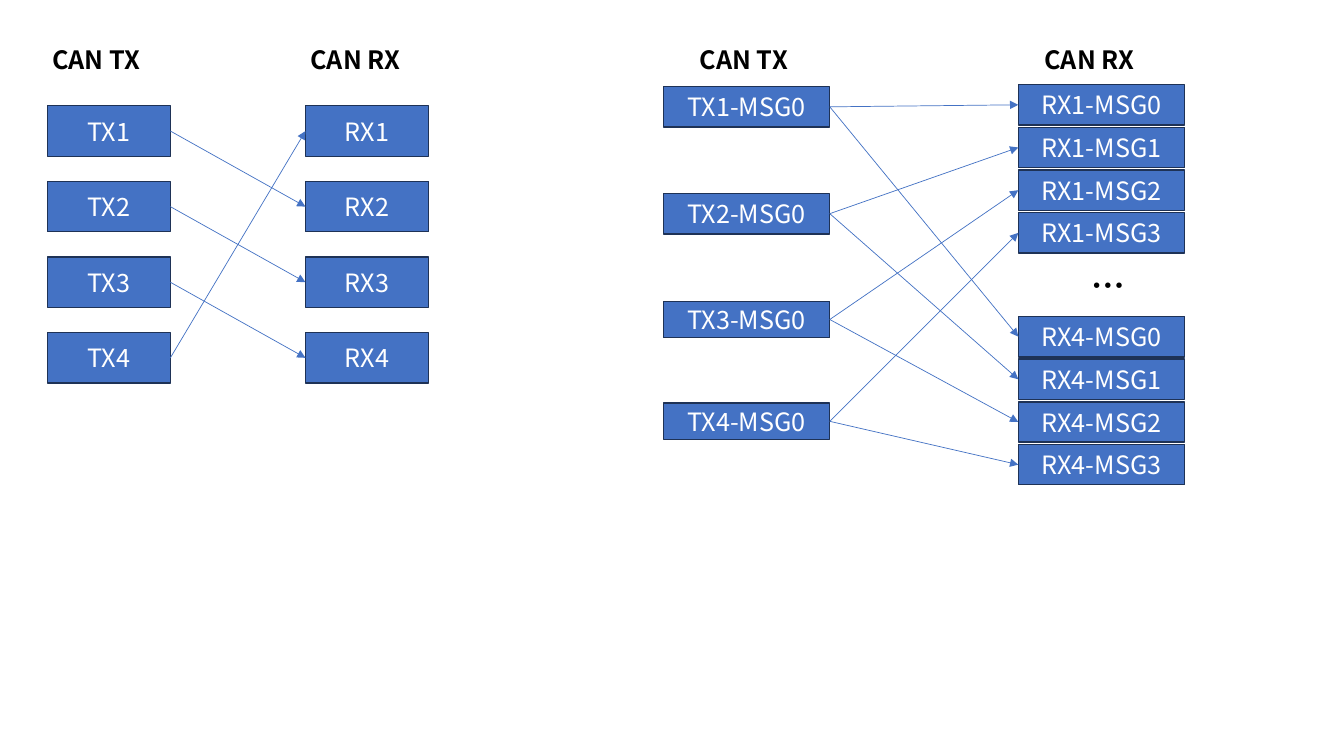
from lxml import etree
from pptx import Presentation
from pptx.dml.color import RGBColor
from pptx.enum.shapes import MSO_CONNECTOR, MSO_SHAPE
from pptx.enum.text import MSO_ANCHOR, MSO_AUTO_SIZE, PP_ALIGN
from pptx.oxml.ns import qn
from pptx.util import Inches, Pt

PROCESS = MSO_SHAPE.FLOWCHART_PROCESS
STRAIGHT = MSO_CONNECTOR.STRAIGHT
MIDDLE = MSO_ANCHOR.MIDDLE
GROW = MSO_AUTO_SIZE.SHAPE_TO_FIT_TEXT
CENTER, LEFT = PP_ALIGN.CENTER, PP_ALIGN.LEFT
LEFT_SIDE, RIGHT_SIDE = 1, 3

COLORS = {"node": "4472C4", "border": "1E3256", "label": "FFFFFF", "heading": "000000"}
FONT = "Noto Sans CJK SC"


class Diagram:
    """Draws one group of message nodes and arrows on a slide."""

    def __init__(self, page):
        self.shapes = page.shapes.add_group_shape().shapes

    def color(self, name):
        return RGBColor.from_string(COLORS[name])

    def fill_text(self, frame, text, align, color, size=18, bold=False):
        para = frame.paragraphs[0]
        para.alignment = align
        span = para.add_run()
        span.text = text
        font_format = {"name": FONT, "size": Pt(size), "bold": bold}
        for key, value in font_format.items():
            setattr(span.font, key, value)
        span.font.color.rgb = self.color(color)
        east_asian = etree.SubElement(span.font._element, qn("a:ea"))
        east_asian.set("typeface", FONT)

    def text(self, text, left, top, width, height, size=18, wrap=True):
        box = self.shapes.add_textbox(*map(Inches, (left, top, width, height)))
        box.text_frame.word_wrap = wrap
        box.text_frame.auto_size = GROW
        self.fill_text(box.text_frame, text, LEFT, "heading", size, bold=True)

    def heading(self, text, left):
        self.text(text, left, 0.39, 1.32, 0.4)

    def node(self, text, left, top, width, height):
        box = self.shapes.add_shape(PROCESS, *map(Inches, (left, top, width, height)))
        box.shadow.inherit = False
        box.fill.solid()
        box.fill.fore_color.rgb = self.color("node")
        box.line.color.rgb = self.color("border")
        box.line.width = Pt(1)
        box.text_frame.word_wrap = True
        box.text_frame.vertical_anchor = MIDDLE
        self.fill_text(box.text_frame, text, CENTER, "label")
        return box

    def column(self, labels, left, top, step, width, height):
        return [self.node(label, left, top + row * step, width, height)
                for row, label in enumerate(labels)]

    def arrow(self, sender, receiver):
        """Join the sender's right side to the receiver's left side."""
        line = self.shapes.add_connector(
            STRAIGHT,
            sender.left + sender.width, sender.top + sender.height // 2,
            receiver.left, receiver.top + receiver.height // 2)
        line.begin_connect(sender, RIGHT_SIDE)
        line.end_connect(receiver, LEFT_SIDE)
        line.line.color.rgb = self.color("node")
        line.line.width = Pt(0.5)
        outline = line._element.spPr.find(qn("a:ln"))
        etree.SubElement(outline, qn("a:tailEnd")).set("type", "triangle")
        etree.SubElement(line._element.spPr, qn("a:effectLst"))


def draw_node_ring(page):
    """Each transmitter feeds the next receiver, the last one the first."""
    diagram = Diagram(page)
    columns = {}
    for side, left in (("TX", 0.47), ("RX", 3.03)):
        diagram.heading(f"CAN {side}", left - 0.05)
        labels = [f"{side}{number}" for number in range(1, 5)]
        columns[side] = diagram.column(labels, left, 1.05, 0.75, 1.22, 0.5)
    receivers = columns["RX"]
    for sender, receiver in zip(columns["TX"], receivers[1:] + receivers[:1]):
        diagram.arrow(sender, receiver)


def draw_message_fan_out(page):
    """Each transmitter's message reaches one slot of every receiver."""
    diagram = Diagram(page)
    diagram.heading("CAN TX", 6.84)
    sender_rows = ((0.86, 0.4), (1.92, 0.4), (2.99, 0.36), (4, 0.36))
    senders = [diagram.node(f"TX{number}-MSG0", 6.58, top, 1.65, height)
               for number, (top, height) in enumerate(sender_rows, 1)]

    diagram.heading("CAN RX", 10.26)
    receiver_blocks = []
    for name, top in (("RX1", 0.84), ("RX4", 3.14)):
        labels = [f"{name}-MSG{slot}" for slot in range(4)]
        block_step = (4.41 - 3.14) / 3
        receiver_blocks.append(diagram.column(labels, 10.1, top, block_step, 1.65, 0.4))
    diagram.text("…", 10.73, 2.58, 0.48, 0.5, size=24, wrap=False)

    for receivers in receiver_blocks:
        for sender, receiver in zip(senders, receivers):
            diagram.arrow(sender, receiver)


def main():
    deck = Presentation()
    deck.slide_width, deck.slide_height = Inches(13.33), Inches(7.5)
    page = deck.slides.add_slide(deck.slide_layouts[6])
    draw_node_ring(page)
    draw_message_fan_out(page)
    deck.save("out.pptx")


if __name__ == "__main__":
    main()
